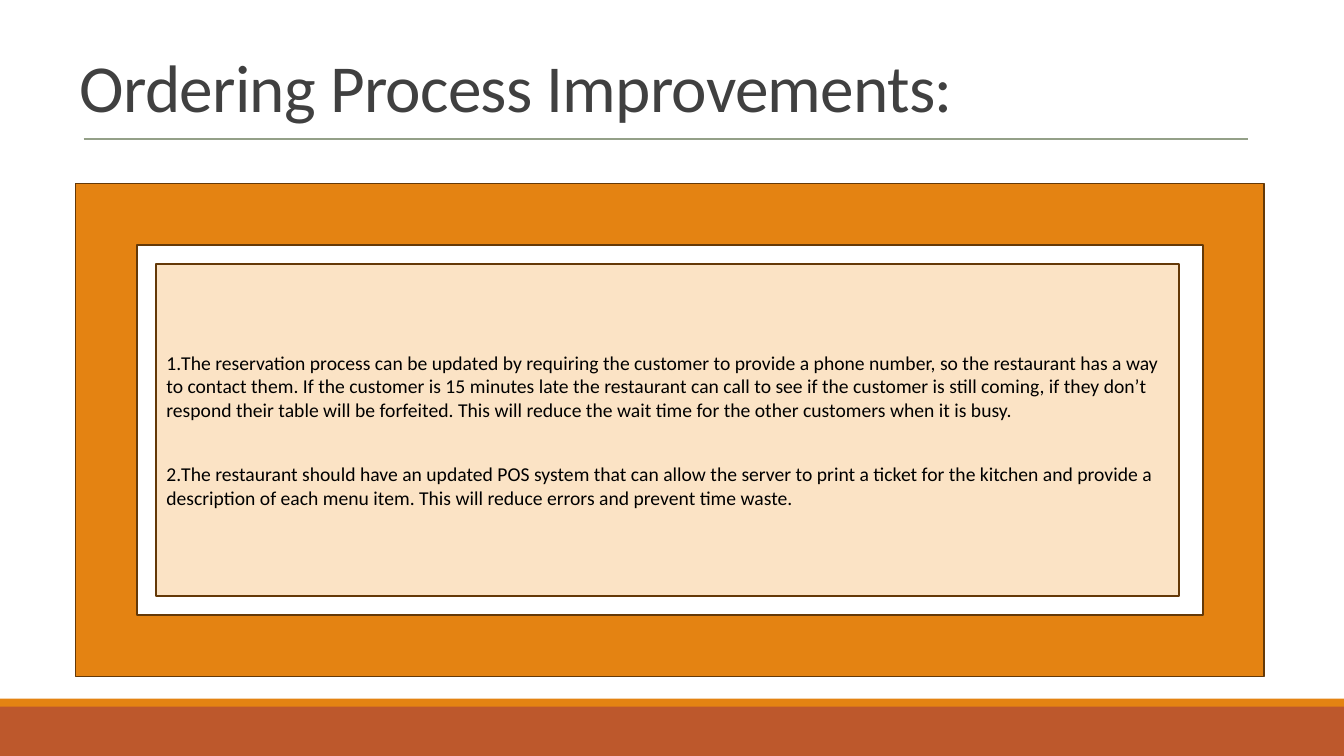
"""Build the ordering process improvements slide."""
from dataclasses import dataclass

from lxml.etree import SubElement
from pptx import Presentation
from pptx.dml.color import RGBColor
from pptx.enum.shapes import MSO_CONNECTOR, MSO_SHAPE
from pptx.enum.text import MSO_ANCHOR, MSO_AUTO_SIZE, PP_ALIGN
from pptx.oxml.ns import qn
from pptx.slide import Slide
from pptx.text.text import TextFrame, _Paragraph
from pptx.util import Inches, Pt

FONT = "Calibri"
ORANGE = "E48312"
RUST = "BD582C"
CREAM = "FBE3C5"
BROWN = "643908"
SAGE = "94A088"
IMPROVEMENTS = (
    "The reservation process can be updated by requiring the customer to provide a phone number, "
    "so the restaurant has a way to contact them. If the customer is 15 minutes late the restaurant "
    "can call to see if the customer is still coming, if they don’t respond their table will be "
    "forfeited. This will reduce the wait time for the other customers when it is busy.",
    "The restaurant should have an updated POS system that can allow the server to print a ticket "
    "for the kitchen and provide a description of each menu item. This will reduce errors and "
    "prevent time waste.",
)


@dataclass(frozen=True)
class Box:
    """A filled shape with its place in inches."""

    left: float
    top: float
    width: float
    height: float
    fill: str
    line: str = ""
    preset: MSO_SHAPE = MSO_SHAPE.RECTANGLE


FOOTER_BANDS = (
    Box(0, 7, 13.33, 0.5, RUST),
    Box(0, 6.93, 13.33, 0.08, ORANGE),
)
FRAME = Box(0.75, 1.82, 11.79, 4.89, ORANGE, BROWN, MSO_SHAPE.FRAME)
LIST_PANEL = Box(1.55, 2.62, 10.14, 3.29, CREAM, BROWN)


def color(code: str) -> RGBColor:
    """Turn a hex string into a colour."""
    return RGBColor.from_string(code)


def place(shape, box: Box) -> None:
    """Move a shape to its box and paint it."""
    shape.left, shape.top = Inches(box.left), Inches(box.top)
    shape.width, shape.height = Inches(box.width), Inches(box.height)
    shape.fill.solid()
    shape.fill.fore_color.rgb = color(box.fill)
    if box.line:
        shape.line.color.rgb = color(box.line)
        shape.line.width = Pt(1.25)
    else:
        shape.line.fill.background()


def add_box(page: Slide, box: Box) -> None:
    """Add one preset shape to the page."""
    shape = page.shapes.add_shape(box.preset, 0, 0, 0, 0)
    shape.shadow.inherit = False
    place(shape, box)


def add_rule(page: Slide) -> None:
    """Draw the thin line under the title."""
    rule = page.shapes.add_connector(
        MSO_CONNECTOR.STRAIGHT, Inches(0.83), Inches(1.38), Inches(12.38), Inches(1.38)
    )
    rule.line.color.rgb = color(SAGE)
    rule.line.width = Pt(1)
    SubElement(rule._element.spPr, qn("a:effectLst"))


def prepare_frame(frame: TextFrame, anchor: MSO_ANCHOR) -> None:
    """Set wrapping, fitting and anchoring of a text frame."""
    frame.word_wrap = True
    frame.auto_size = MSO_AUTO_SIZE.NONE
    frame.vertical_anchor = anchor


def add_span(para: _Paragraph, text: str, size: float, code: str):
    """Add a formatted run to a paragraph."""
    span = para.add_run()
    span.text = text
    span.font.name = FONT
    span.font.size = Pt(size)
    span.font.color.rgb = color(code)
    return span


def fill_title(page: Slide) -> None:
    """Write the heading in the title placeholder."""
    title = page.shapes.title
    title.left, title.top = Inches(0.69), Inches(0.35)
    title.width, title.height = Inches(11), Inches(0.95)
    prepare_frame(title.text_frame, MSO_ANCHOR.BOTTOM)
    para = title.text_frame.paragraphs[0]
    para.alignment = PP_ALIGN.LEFT
    para.line_spacing = 0.85
    span = add_span(para, "Ordering Process Improvements:", 48, "404040")
    span.font._element.set("spc", "-50")


def fill_list(page: Slide) -> None:
    """Write the numbered improvements in the body placeholder."""
    body = page.placeholders[1]
    place(body, LIST_PANEL)
    frame = body.text_frame
    prepare_frame(frame, MSO_ANCHOR.MIDDLE)
    for number, improvement in enumerate(IMPROVEMENTS, 1):
        para = frame.paragraphs[0] if number == 1 else frame.add_paragraph()
        para.alignment = PP_ALIGN.LEFT
        para.space_before = Pt(0)
        para.space_after = Pt(6 if number == len(IMPROVEMENTS) else 29)
        properties = para._p.get_or_add_pPr()
        properties.set("marL", "0")
        properties.set("indent", "0")
        SubElement(properties, qn("a:buFont"), typeface=FONT)
        SubElement(properties, qn("a:buAutoNum"), type="arabicPeriod", startAt=str(number))
        add_span(para, improvement, 14, "000000")


def main() -> None:
    """Build and save the deck."""
    deck = Presentation()
    deck.slide_width, deck.slide_height = Inches(13.33), Inches(7.5)
    page = deck.slides.add_slide(deck.slide_layouts[1])
    fill_title(page)
    fill_list(page)
    for box in (*FOOTER_BANDS, FRAME):
        add_box(page, box)
    add_rule(page)
    deck.save("out.pptx")


if __name__ == "__main__":
    main()
